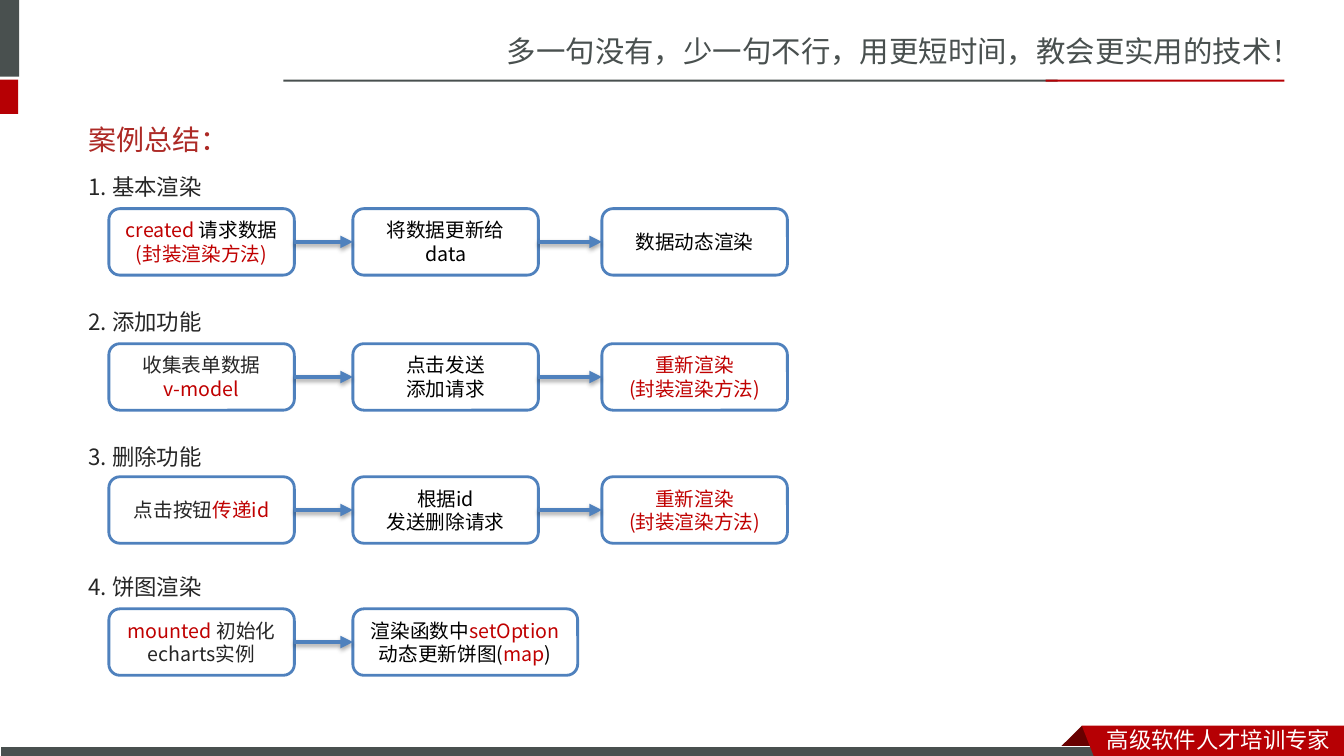
import pptx
import pptx.dml.color
import pptx.enum.shapes
import pptx.enum.text
import pptx.oxml
import pptx.oxml.ns
import pptx.util
from pptx.util import Inches

COLORS = {
    "slate": "49504F", "red": "B60004", "fold": "680000", "white": "FFFFFF",
    "title": "AD2A26", "ink": "262626", "black": "000000", "accent": "C00000",
    "blue": "4F81BD",
}
BODY_FONT = "Noto Sans CJK JP"
BRAND_FONT = "Noto Sans CJK SC"
STEP_LEFTS = (1.08, 3.5, 5.97)
STEP_WIDTH, STEP_HEIGHT = 1.84, 0.66

RERENDER = [[("重新渲染", "accent")], [("(封装渲染方法)", "accent")]]

# Section: heading, heading top, top of the steps, steps.
# Step: lines, each made of (text, colour) parts.
SECTIONS = [
    ("基本渲染", 1.67, 2.07, [
        [[("created ", "accent"), ("请求数据", "black")],
         [("(封装渲染方法)", "accent")]],
        [[("将数据更新给 data", "black")]],
        [[("数据动态渲染", "black")]],
    ]),
    ("添加功能", 3.01, 3.41, [
        [[("收集表单数据", "ink")], [("v-model", "accent")]],
        [[("点击发送", "black")], [("添加请求", "black")]],
        RERENDER,
    ]),
    ("删除功能", 4.35, 4.73, [
        [[("点击按钮", "ink"), ("传递id", "accent")]],
        [[("根据id", "black")], [("发送删除请求", "black")]],
        RERENDER,
    ]),
    ("饼图渲染", 5.64, 6.04, [
        [[("mounted ", "accent"), ("初始化", "ink")], [("echarts实例", "ink")]],
        [[("渲染函数中", "black"), ("setOption", "accent")],
         [("动态更新饼图(", "black"), ("map", "accent"), (")", "black")]],
    ]),
]
WIDE_STEPS = {("饼图渲染", 1): 2.23}


def rgb(color):
    return pptx.dml.color.RGBColor.from_string(COLORS[color])


def set_font(font, size, name, color=None):
    """Set size, Latin and East Asian typeface, and optionally colour."""
    font.size = pptx.util.Pt(size)
    font.name = name
    if color:
        font.color.rgb = rgb(color)
    latin = font._element.find(pptx.oxml.ns.qn("a:latin"))
    east_asian = pptx.oxml.parse_xml(
        f'<a:ea {pptx.oxml.ns.nsdecls("a")} typeface="{name}"/>')
    latin.addnext(east_asian)


def paint(shape, fill, line=None, line_width=0.75):
    shape.shadow.inherit = False
    shape.fill.solid()
    shape.fill.fore_color.rgb = rgb(fill)
    if line:
        shape.line.color.rgb = rgb(line)
        shape.line.width = pptx.util.Pt(line_width)
    else:
        shape.line.fill.background()


def add_bar(slide, left, top, width, height, fill, line=None):
    bar = slide.shapes.add_shape(
        pptx.enum.shapes.MSO_SHAPE.RECTANGLE,
        Inches(left), Inches(top), Inches(width), Inches(height))
    paint(bar, fill, line)


def add_outline(slide, points, fill):
    corners = [(Inches(x), Inches(y)) for x, y in points]
    builder = slide.shapes.build_freeform(*corners[0])
    builder.add_line_segments(corners[1:], close=True)
    paint(builder.convert_to_shape(), fill)


def add_label(slide, left, top, width, height, text, size, font, color):
    label = slide.shapes.add_textbox(
        Inches(left), Inches(top), Inches(width), Inches(height))
    label.text_frame.word_wrap = True
    paragraph = label.text_frame.paragraphs[0]
    paragraph.text = text
    set_font(paragraph.font, size, font, color)


def add_title(slide, text):
    title = slide.shapes.title
    title.left, title.top = Inches(0.78), Inches(1.1)
    title.width, title.height = Inches(11.75), Inches(0.57)
    title.text_frame.vertical_anchor = pptx.enum.text.MSO_ANCHOR.MIDDLE
    paragraph = title.text_frame.paragraphs[0]
    paragraph.text = text
    paragraph.alignment = pptx.enum.text.PP_ALIGN.LEFT
    set_font(paragraph.font, 20, BODY_FONT, "title")


def add_step(slide, left, top, width, lines):
    step = slide.shapes.add_shape(
        pptx.enum.shapes.MSO_SHAPE.ROUNDED_RECTANGLE,
        Inches(left), Inches(top), Inches(width), Inches(STEP_HEIGHT))
    paint(step, "white", "blue", 2)
    frame = step.text_frame
    frame.word_wrap = True
    frame.vertical_anchor = pptx.enum.text.MSO_ANCHOR.MIDDLE
    for index, parts in enumerate(lines):
        paragraph = frame.add_paragraph() if index else frame.paragraphs[0]
        paragraph.alignment = pptx.enum.text.PP_ALIGN.CENTER
        set_font(paragraph.font, 14, BODY_FONT)
        for text, color in parts:
            run = paragraph.add_run()
            run.text = text
            run.font.color.rgb = rgb(color)


def add_arrow(slide, start, end, y):
    arrow = slide.shapes.add_connector(
        pptx.enum.shapes.MSO_CONNECTOR.STRAIGHT,
        Inches(start), Inches(y), Inches(end), Inches(y))
    arrow.line.color.rgb = rgb("blue")
    arrow.line.width = pptx.util.Pt(3)
    namespace = pptx.oxml.ns.nsdecls("a")
    arrow.line._get_or_add_ln().append(
        pptx.oxml.parse_xml(f'<a:tailEnd {namespace} type="triangle"/>'))
    arrow._element.spPr.append(pptx.oxml.parse_xml(
        f'<a:effectLst {namespace}><a:outerShdw blurRad="40000" dist="23000" '
        f'dir="5400000" rotWithShape="0"><a:srgbClr val="{COLORS["black"]}">'
        '<a:alpha val="35000"/></a:srgbClr></a:outerShdw></a:effectLst>'))


def add_header(slide):
    add_label(slide, 4.93, 0.28, 8.4, 0.47,
              "多一句没有，少一句不行，用更短时间，教会更实用的技术！",
              21, BRAND_FONT, "slate")
    add_bar(slide, 0, 0, 0.19, 0.76, "slate")
    add_bar(slide, 0, 0.79, 0.18, 0.34, "red")
    add_bar(slide, 2.81, 0.79, 7.68, 0.02, "slate")
    add_bar(slide, 10.37, 0.79, 2.37, 0.02, "red")


def add_footer(slide):
    add_outline(slide, [(10.73, 7.2), (10.95, 7.42), (10.94, 7.43),
                        (10.52, 7.43), (10.51, 7.42)], "fold")
    add_bar(slide, 0, 7.41, 10.99, 0.12, "slate", "white")
    add_outline(slide, [(10.73, 7.2), (13.33, 7.2), (13.33, 7.54),
                        (10.86, 7.53)], "red")
    add_label(slide, 10.88, 7.15, 2.45, 0.37, "高级软件人才培训专家",
              16, BRAND_FONT, "white")


def add_section(slide, number, heading, heading_top, top, steps):
    add_label(slide, 0.78, heading_top, 2.15, 0.37,
              f"{number}. {heading}", 16, BODY_FONT, "ink")
    for index, (left, lines) in enumerate(zip(STEP_LEFTS, steps)):
        width = WIDE_STEPS.get((heading, index), STEP_WIDTH)
        add_step(slide, left, top, width, lines)
        if index:
            add_arrow(slide, STEP_LEFTS[index - 1] + STEP_WIDTH, left,
                      top + STEP_HEIGHT / 2)


def main():
    deck = pptx.Presentation()
    deck.slide_width, deck.slide_height = Inches(13.33), Inches(7.5)
    slide = deck.slides.add_slide(deck.slide_layouts[5])
    add_header(slide)
    add_footer(slide)
    add_title(slide, "案例总结：")
    for number, section in enumerate(SECTIONS, start=1):
        add_section(slide, number, *section)
    deck.save("out.pptx")


if __name__ == "__main__":
    main()
